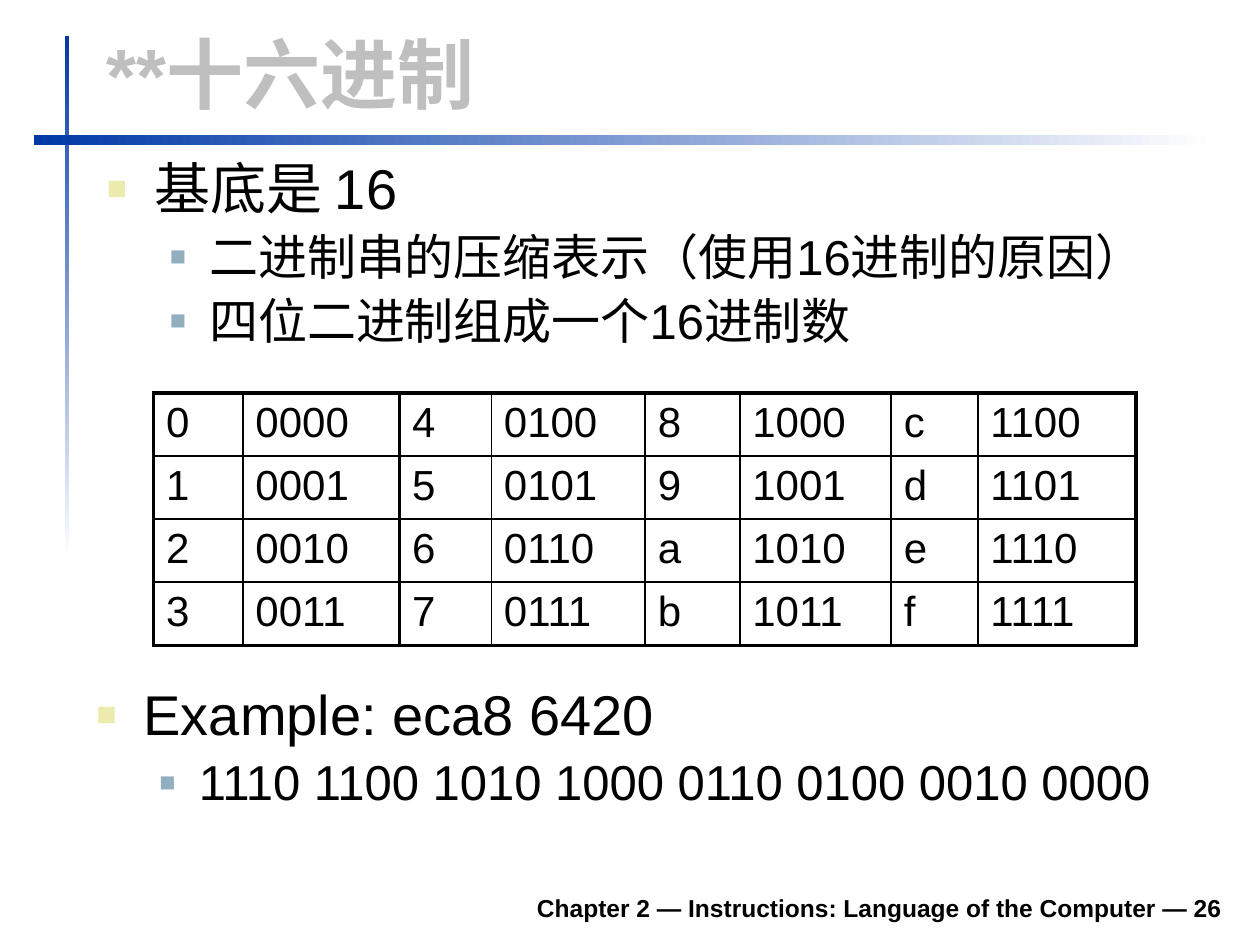
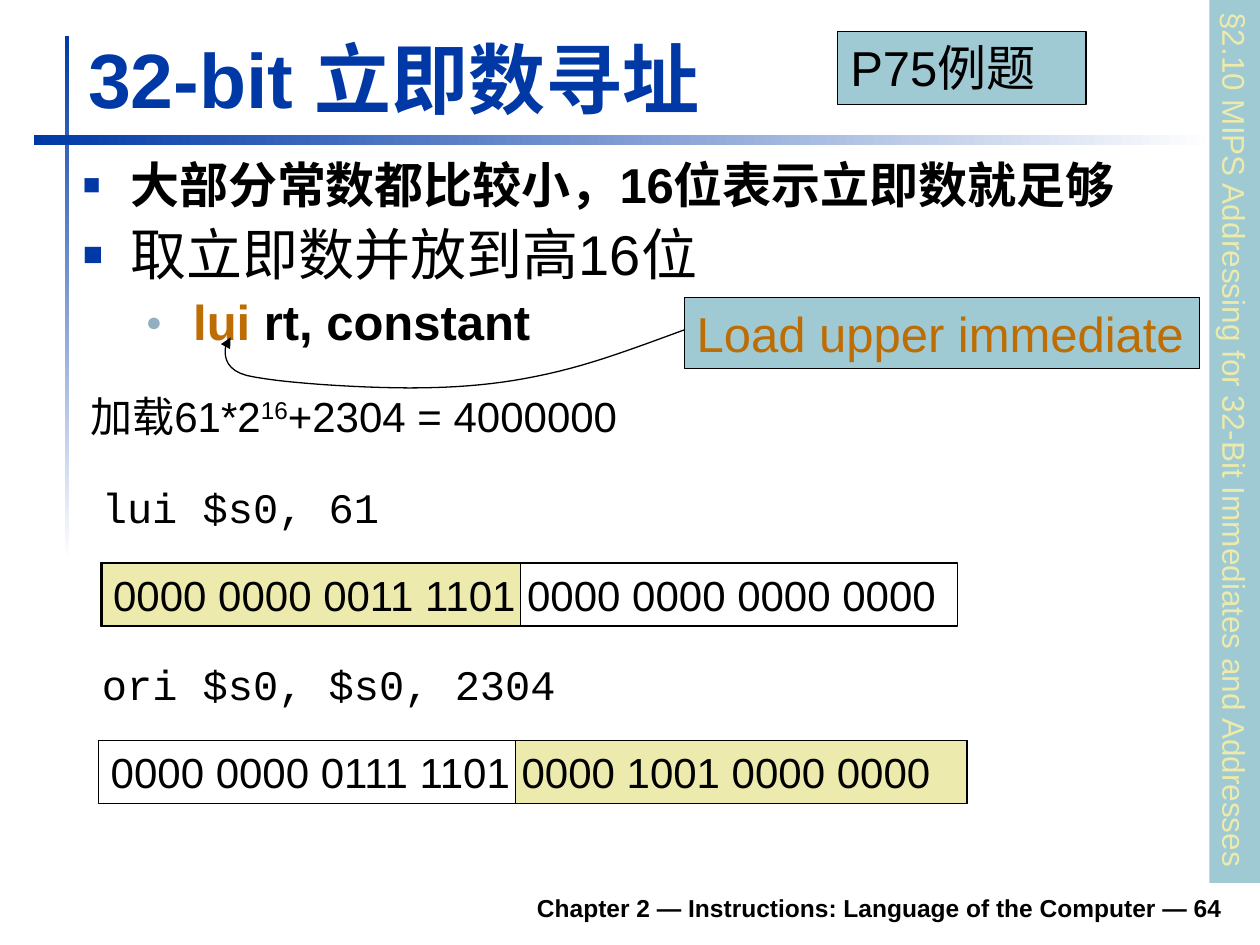
from lxml import etree
from pptx import Presentation
from pptx.dml.color import RGBColor
from pptx.enum.shapes import MSO_SHAPE
from pptx.enum.text import MSO_ANCHOR, MSO_AUTO_SIZE, PP_ALIGN
from pptx.oxml.ns import qn
from pptx.util import Pt

RECTANGLE = MSO_SHAPE.RECTANGLE
TOP, BOTTOM = MSO_ANCHOR.TOP, MSO_ANCHOR.BOTTOM
LEFT, RIGHT = PP_ALIGN.LEFT, PP_ALIGN.RIGHT
FIT_SHAPE = MSO_AUTO_SIZE.SHAPE_TO_FIT_TEXT

BLACK, WHITE, BLUE, GREY = "000000", "FFFFFF", "0039A6", "BFBFBF"
SAND, STEEL, AQUA, ORANGE = "ECEAAC", "91AFBF", "9FCAD3", "BD6D03"
SANS, MONO = "Arial", "Courier New"

HEX_COLUMN_WIDTHS = [51, 89.5, 52.5, 88, 54, 86.5, 49.5, 90.5]
HEX_ROW_HEIGHT = 36


def color(value):
    return RGBColor.from_string(value)


def lengths(box):
    return [Pt(value) for value in box]


def add_element(parent, tag, **attributes):
    element = etree.SubElement(parent, qn(tag))
    for name, value in attributes.items():
        element.set(name, str(value))
    return element


def add_run(paragraph, text, size, fill=BLACK, bold=False, font=SANS, baseline=0):
    run = paragraph.add_run()
    run.text = text
    run.font.size = Pt(size)
    run.font.bold = bold
    run.font.name = font
    run.font.color.rgb = color(fill)
    if baseline:
        run.font._element.set("baseline", str(baseline * 1000))


def set_frame(shape, wrap=True, anchor=TOP, align=LEFT):
    frame = shape.text_frame
    frame.word_wrap = wrap
    if not wrap:
        frame.auto_size = FIT_SHAPE
    frame.vertical_anchor = anchor
    paragraph = frame.paragraphs[0]
    paragraph.alignment = align
    return paragraph


def add_text(slide, box, text, size, wrap=True, anchor=TOP, align=LEFT, **style):
    shape = slide.shapes.add_textbox(*lengths(box))
    paragraph = set_frame(shape, wrap, anchor, align)
    add_run(paragraph, text, size, **style)
    return paragraph


def add_rectangle(slide, box, fill=None, outlined=True):
    shape = slide.shapes.add_shape(RECTANGLE, *lengths(box))
    shape.shadow.inherit = False
    if fill:
        shape.fill.solid()
        shape.fill.fore_color.rgb = color(fill)
    else:
        shape.fill.background()
    if outlined:
        shape.line.color.rgb = color(BLACK)
        shape.line.width = Pt(0.75)
    else:
        shape.line.fill.background()
    return shape


def add_fading_band(slide, box, angle):
    shape = add_rectangle(slide, box, BLUE, outlined=False)
    shape.fill.gradient()
    shape.fill.gradient_angle = angle
    for stop, value in zip(shape.fill.gradient_stops, (BLUE, WHITE)):
        stop.color.rgb = color(value)


def add_label(slide, box, text, size=28, fill=BLACK):
    shape = add_rectangle(slide, box, AQUA)
    add_run(set_frame(shape), text, size, fill)


def add_base(presentation, title, title_box, title_fill, number):
    slide = presentation.slides.add_slide(presentation.slide_layouts[6])
    add_fading_band(slide, (36.9, 20.3, 2.7, 300), 270)
    add_fading_band(slide, (19.6, 77, 674.6, 6), 0)
    add_text(slide, (133.3, 502.5, 572.2, 28.3),
             f"Chapter 2 — Instructions: Language of the Computer — {number}",
             14, anchor=BOTTOM, align=RIGHT, bold=True)
    add_text(slide, title_box, title, 44, anchor=BOTTOM, fill=title_fill, bold=True)
    return slide


def item(*runs, level=0, bullet="■", bullet_fill=SAND, margin=27, hanging=27):
    return dict(runs=runs, level=level, bullet=bullet, bullet_fill=bullet_fill,
                margin=margin, hanging=hanging)


def main_item(text, size=32, bullet_fill=SAND, bold=False):
    return item((text, size, BLACK, bold), bullet_fill=bullet_fill)


def sub_item(text):
    return item((text, 28), level=1, bullet_fill=STEEL, margin=58.5, hanging=22.5)


def add_bullets(slide, box, items):
    frame = slide.shapes.add_textbox(*lengths(box)).text_frame
    frame.word_wrap = True
    for index, entry in enumerate(items):
        paragraph = frame.add_paragraph() if index else frame.paragraphs[0]
        properties = paragraph._p.get_or_add_pPr()
        properties.set("marL", str(Pt(entry["margin"])))
        properties.set("indent", str(-Pt(entry["hanging"])))
        bullet_color = add_element(properties, "a:buClr")
        add_element(bullet_color, "a:srgbClr", val=entry["bullet_fill"])
        add_element(properties, "a:buSzPct", val=55000 if entry["level"] else 60000)
        add_element(properties, "a:buFont", typeface=SANS)
        add_element(properties, "a:buChar", char=entry["bullet"])
        paragraph.level = entry["level"]
        paragraph.line_spacing = 0.9
        if index:
            paragraph.space_before = Pt(round(entry["runs"][0][1] * 0.23, 1))
        for run in entry["runs"]:
            add_run(paragraph, *run)


def set_borders(cell, widths):
    properties = cell._tc.get_or_add_tcPr()
    for side, width in zip("LRTB", widths):
        line = add_element(properties, f"a:ln{side}", w=Pt(width))
        fill = add_element(line, "a:solidFill")
        add_element(fill, "a:srgbClr", val=BLACK)


def add_hex_table(slide, left, top):
    row_count, column_count = 4, len(HEX_COLUMN_WIDTHS)
    box = (left, top, sum(HEX_COLUMN_WIDTHS), row_count * HEX_ROW_HEIGHT)
    table = slide.shapes.add_table(row_count, column_count, *lengths(box)).table
    table.first_row = table.horz_banding = False
    for column, width in zip(table.columns, HEX_COLUMN_WIDTHS):
        column.width = Pt(width)

    def vertical_rule(edge):
        if edge in (0, column_count):
            return 2.25
        return 1 if edge % 2 else 1.5

    def horizontal_rule(edge):
        return 2.25 if edge in (0, row_count) else 1

    for row in range(row_count):
        table.rows[row].height = Pt(HEX_ROW_HEIGHT)
        for column in range(column_count):
            value = column // 2 * row_count + row
            cell = table.cell(row, column)
            add_run(cell.text_frame.paragraphs[0],
                    f"{value:04b}" if column % 2 else f"{value:x}", 24)
            set_borders(cell, (vertical_rule(column), vertical_rule(column + 1),
                               horizontal_rule(row), horizontal_rule(row + 1)))
            cell.fill.background()


def add_register(slide, box, bits, half_left, half_width):
    left, top, width, height = box
    add_rectangle(slide, (left + half_left, top, half_width, height), SAND)
    add_run(set_frame(add_rectangle(slide, box)), bits, 24)


def add_section_strip(slide, box, text):
    left, top, width, height = box
    center_x, center_y = left + width / 2, top + height / 2
    unrotated = (center_x - height / 2, center_y - width / 2, height, width)
    shape = add_rectangle(slide, unrotated, AQUA, outlined=False)
    shape.rotation = 90
    add_run(set_frame(shape, wrap=False), text, 18, SAND)


def curve_points(start, curves, steps=12):
    for first, second, end in curves:
        for step in range(1, steps + 1):
            t = step / steps
            weights = ((1 - t) ** 3, 3 * t * (1 - t) ** 2, 3 * t * t * (1 - t), t ** 3)
            controls = (start, first, second, end)
            yield tuple(sum(weight * point[axis] for weight, point in zip(weights, controls))
                        for axis in (0, 1))
        start = end


def add_curved_arrow(slide, left, top):
    start = (262, 0)
    curves = [
        ((236, 9.5), (210, 19.5), (183.6, 25.2)),
        ((157.7, 31), (133.2, 33.1), (105, 33.1)),
        ((76.3, 33.1), (30.2, 30.2), (12.2, 26)),
        ((-5, 21.6), (0.7, 7.2), (0.7, 7.2)),
    ]
    points = [*curve_points(start, curves), (2.9, 4.3)]
    builder = slide.shapes.build_freeform(Pt(left + start[0]), Pt(top + start[1]))
    builder.add_line_segments([(Pt(left + x), Pt(top + y)) for x, y in points], close=False)
    shape = builder.convert_to_shape()
    shape.shadow.inherit = False
    shape.fill.background()
    shape.line.color.rgb = color(BLACK)
    shape.line.width = Pt(0.75)
    add_element(shape.line._get_or_add_ln(), "a:tailEnd", type="triangle")


def add_hexadecimal_slide(presentation):
    slide = add_base(presentation, "**十六进制", (54, 11.5, 650, 60), GREY, 26)
    add_bullets(slide, (54, 88.5, 651.5, 124.5), [
        main_item("基底是 16"),
        sub_item("二进制串的压缩表示（使用16进制的原因）"),
        sub_item("四位二进制组成一个16进制数"),
    ])
    add_hex_table(slide, 87.8, 224.6)
    add_bullets(slide, (48, 389, 651.5, 90.7), [
        main_item("Example: eca8 6420"),
        sub_item("1110 1100 1010 1000 0110 0100 0010 0000"),
    ])


def add_immediate_slide(presentation):
    slide = add_base(presentation, "32-bit 立即数寻址", (43.2, 14.4, 650, 60), BLUE, 64)
    add_register(slide, (57.6, 321.8, 489.6, 36),
                 "0000 0000 0011 1101 0000 0000 0000 0000", 0.7, 239)
    add_register(slide, (56.2, 423.3, 496.8, 36),
                 "0000 0000 0111 1101 0000 1001 0000 0000", 238.5, 257.8)
    add_bullets(slide, (40.3, 88.5, 651.5, 119.5), [
        main_item("大部分常数都比较小，16位表示立即数就足够", 28, BLUE, True),
        main_item("取立即数并放到高16位", bullet_fill=BLUE),
        item(("lui", 28, ORANGE, True), (" rt, constant", 28, BLACK, True),
             level=1, bullet="●", bullet_fill=STEEL, margin=63),
    ])
    for top, width, code in ((271.4, 175.7, "lui $s0, 61"),
                             (373, 278, "ori $s0, $s0, 2304")):
        add_text(slide, (51.1, top, width, 36), code, 24, wrap=False, font=MONO)
    add_section_strip(slide, (691, 0, 29, 504.5),
                      "§2.10 MIPS Addressing for 32-Bit Immediates and Addresses")
    formula = add_text(slide, (44.6, 219.6, 321, 36), "加载61*2", 24, wrap=False)
    add_run(formula, "16", 24, baseline=30)
    add_run(formula, "+2304 = 4000000", 24)
    add_label(slide, (478.8, 18, 141.8, 41.6), "P75例题")
    add_label(slide, (391, 170, 294.5, 40.5), "Load upper immediate", fill=ORANGE)
    add_curved_arrow(slide, 128.9, 188.6)


def main():
    presentation = Presentation()
    presentation.slide_width, presentation.slide_height = Pt(720), Pt(540)
    add_hexadecimal_slide(presentation)
    add_immediate_slide(presentation)
    presentation.save("out.pptx")


if __name__ == "__main__":
    main()
